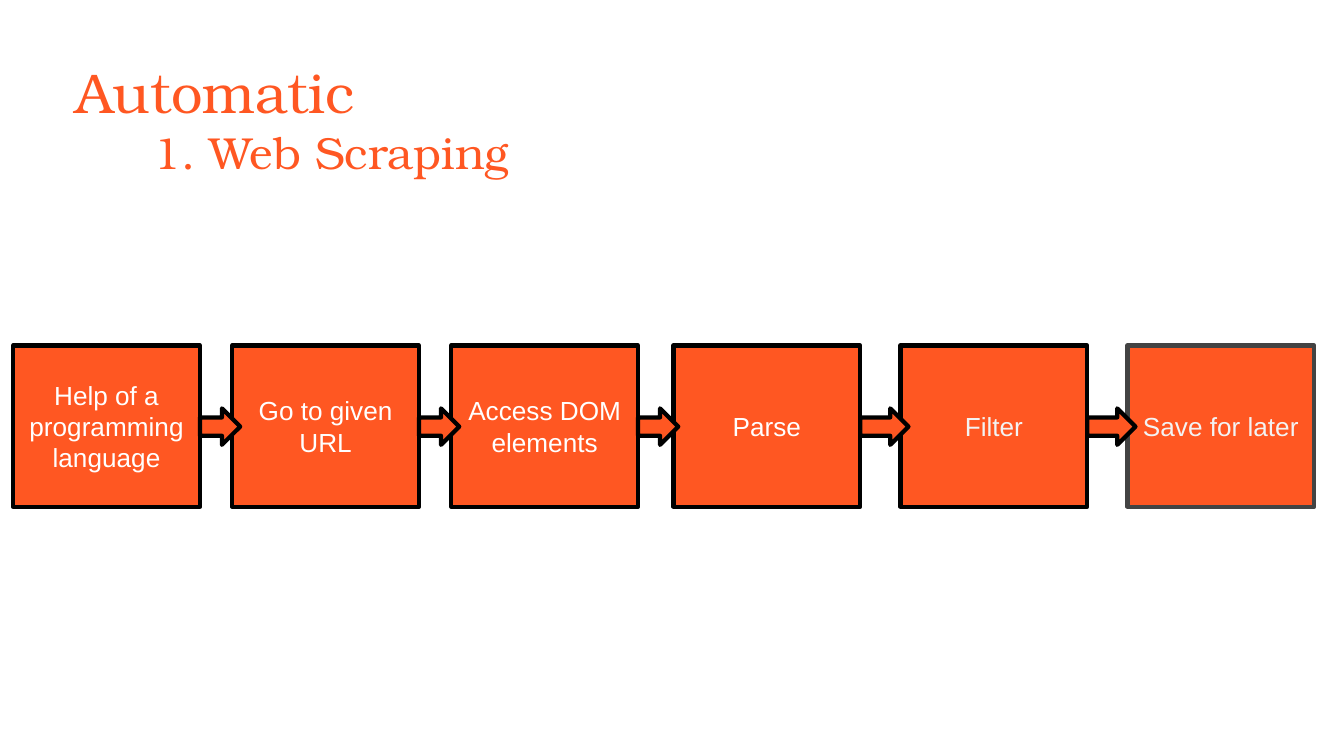
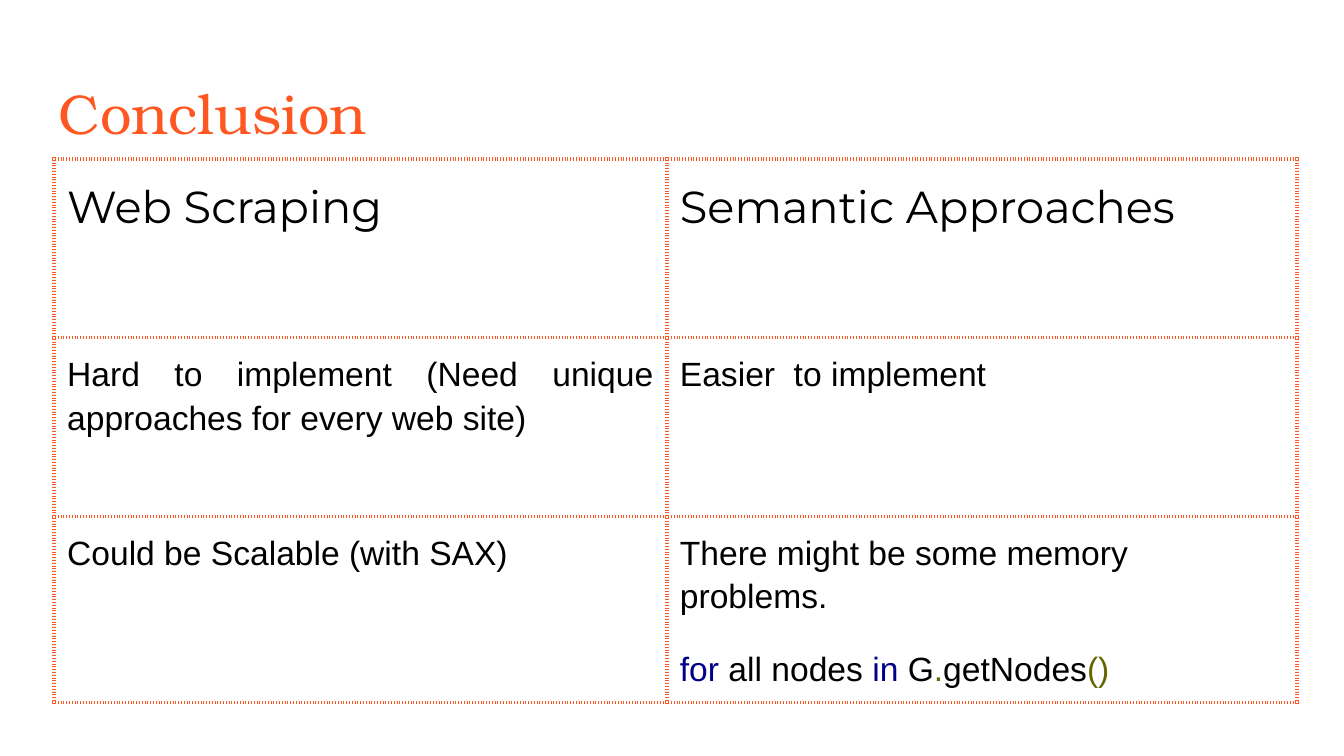
from lxml import etree
from pptx import Presentation
from pptx import util as u
from pptx.dml.color import RGBColor
from pptx.enum import shapes, text
from pptx.oxml import ns

COLOURS = {
    "accent": "FF5722", "black": "000000", "white": "FFFFFF", "pale": "F3F3F3",
    "grey": "434343", "keyword": "000088", "punctuation": "666600",
}
TITLE_FONT, BODY_FONT, HEADER_FONT = "TeX Gyre Bonum", "Arial", "Montserrat"
INSET = u.Cm(0.25)
LINE_WIDTH = u.Pt(2.25)
LEFT, CENTER, JUSTIFY = (text.PP_ALIGN.LEFT, text.PP_ALIGN.CENTER,
                         text.PP_ALIGN.JUSTIFY)

# Content of the process slide: label, left (cm), outline, text colour
STEPS = [
    ("Help of a programming language", 0.25, "black", "white"),
    ("Go to given URL", 4.39, "black", "white"),
    ("Access DOM elements", 8.53, "black", "white"),
    ("Parse", 12.73, "black", "white"),
    ("Filter", 17.02, "black", "pale"),
    ("Save for later", 21.31, "grey", "pale"),
]
ARROW_WIDTHS = [0.76, 0.76, 0.76, 0.91, 0.91]
STEP_TOP, STEP_WIDTH, STEP_HEIGHT = 6.53, 3.53, 3.05
ARROW_TOP, ARROW_HEIGHT = 7.72, 0.69

# Content of the comparison table
HEADERS = ["Web Scraping", "Semantic Approaches"]
COMPARISON = [
    ["Hard to implement (Need unique approaches for every web site)",
     "Easier  to implement"],
    ["Could be Scalable (with SAX)", "There might be some memory problems."],
]
NODE_LOOP = [("for", "keyword"), (" all nodes ", "black"), ("in", "keyword"),
             (" G", "black"), (".", "punctuation"), ("getNodes", "black"),
             ("()", "punctuation")]
COLUMN_WIDTHS = [11.58, 11.91]
ROW_HEIGHT = 3.38


def rgb(name):
    return RGBColor.from_string(COLOURS[name])


def add_text(frame, content, font=BODY_FONT, size=18, colour="black",
             align=LEFT, line_spacing=None, space_after=0):
    """Add a paragraph made of a string or of (text, colour) runs."""
    paragraph = frame.paragraphs[0]
    if paragraph.runs:
        paragraph = frame.add_paragraph()
    paragraph.alignment = align
    paragraph.space_after = u.Pt(space_after)
    if line_spacing:
        paragraph.line_spacing = line_spacing
    runs = [(content, colour)] if isinstance(content, str) else content
    for words, run_colour in runs:
        run = paragraph.add_run()
        run.text = words
        run.font.name = font
        run.font.size = u.Pt(size)
        run.font.color.rgb = rgb(run_colour)
    return paragraph


def set_frame(frame, anchor):
    frame.word_wrap = True
    frame.auto_size = text.MSO_AUTO_SIZE.NONE
    frame.vertical_anchor = anchor
    frame.margin_left = frame.margin_right = INSET
    frame.margin_top = frame.margin_bottom = INSET


def add_titled_slide(presentation, title, left, top, height):
    slide = presentation.slides.add_slide(presentation.slide_layouts[5])
    shape = slide.shapes.title
    shape.left, shape.top = u.Cm(left), u.Cm(top)
    shape.width, shape.height = u.Cm(23.67), u.Cm(height)
    set_frame(shape.text_frame, text.MSO_ANCHOR.TOP)
    add_text(shape.text_frame, title, TITLE_FONT, 30, "accent")
    return slide


def number_paragraph(paragraph):
    properties = paragraph._p.get_or_add_pPr()
    properties.set("marL", str(u.Cm(2.54)))
    properties.set("indent", str(u.Cm(-1.06)))
    colour = etree.SubElement(properties, ns.qn("a:buClr"))
    etree.SubElement(colour, ns.qn("a:srgbClr"), val=COLOURS["accent"])
    etree.SubElement(properties, ns.qn("a:buFont"), typeface=TITLE_FONT)
    etree.SubElement(properties, ns.qn("a:buAutoNum"), type="arabicPeriod")


def add_block(slide, kind, left, top, width, height, outline="black"):
    shape = slide.shapes.add_shape(kind, u.Cm(left), u.Cm(top),
                                   u.Cm(width), u.Cm(height))
    shape.shadow.inherit = False
    shape.fill.solid()
    shape.fill.fore_color.rgb = rgb("accent")
    shape.line.color.rgb = rgb(outline)
    shape.line.width = LINE_WIDTH
    return shape


def set_borders(cell):
    properties = cell._tc.get_or_add_tcPr()
    for index, side in enumerate(("lnL", "lnR", "lnT", "lnB")):
        line = etree.Element(ns.qn(f"a:{side}"), w=str(LINE_WIDTH))
        fill = etree.SubElement(line, ns.qn("a:solidFill"))
        etree.SubElement(fill, ns.qn("a:srgbClr"), val=COLOURS["accent"])
        etree.SubElement(line, ns.qn("a:prstDash"), val="dot")
        properties.insert(index, line)


def build_process(presentation):
    slide = add_titled_slide(presentation, "Automatic", 1.17, 0.84, 2.54)
    number_paragraph(add_text(slide.shapes.title.text_frame, "Web Scraping",
                              TITLE_FONT, 24, "accent"))
    # Step boxes
    for label, left, outline, colour in STEPS:
        box = add_block(slide, shapes.MSO_SHAPE.RECTANGLE, left, STEP_TOP,
                        STEP_WIDTH, STEP_HEIGHT, outline)
        set_frame(box.text_frame, text.MSO_ANCHOR.MIDDLE)
        add_text(box.text_frame, label, size=14, colour=colour, align=CENTER)
    # Arrows start at the right edge of each box
    for (_, left, _, _), width in zip(STEPS, ARROW_WIDTHS):
        add_block(slide, shapes.MSO_SHAPE.RIGHT_ARROW, left + STEP_WIDTH,
                  ARROW_TOP, width, ARROW_HEIGHT)


def build_conclusion(presentation):
    slide = add_titled_slide(presentation, "Conclusion", 0.86, 1.24, 1.6)
    rows = [HEADERS] + COMPARISON
    table = slide.shapes.add_table(
        len(rows), len(HEADERS), u.Cm(1.02), u.Cm(3),
        u.Cm(sum(COLUMN_WIDTHS)), u.Cm(ROW_HEIGHT * len(rows))).table
    table.first_row = table.horz_banding = False
    for column, width in zip(table.columns, COLUMN_WIDTHS):
        column.width = u.Cm(width)
    for row in table.rows:
        row.height = u.Cm(ROW_HEIGHT)
    # Cells
    last_cell = table.cell(len(rows) - 1, len(HEADERS) - 1)
    for row_index, row in enumerate(rows):
        for column_index, words in enumerate(row):
            cell = table.cell(row_index, column_index)
            cell.fill.background()
            set_borders(cell)
            cell.margin_left = cell.margin_right = INSET
            cell.margin_top = cell.margin_bottom = INSET
            if row_index == 0:
                style = dict(font=HEADER_FONT, size=24, space_after=16)
            elif cell == last_cell:
                style = dict(space_after=16)
            else:
                style = dict(align=JUSTIFY)
            add_text(cell.text_frame, words, line_spacing=1.15, **style)
    add_text(last_cell.text_frame, NODE_LOOP, line_spacing=1.15, space_after=16)


def main():
    presentation = Presentation()
    presentation.slide_width = u.Cm(25.4)
    presentation.slide_height = u.Cm(14.29)
    build_process(presentation)
    build_conclusion(presentation)
    presentation.save("out.pptx")


if __name__ == "__main__":
    main()
